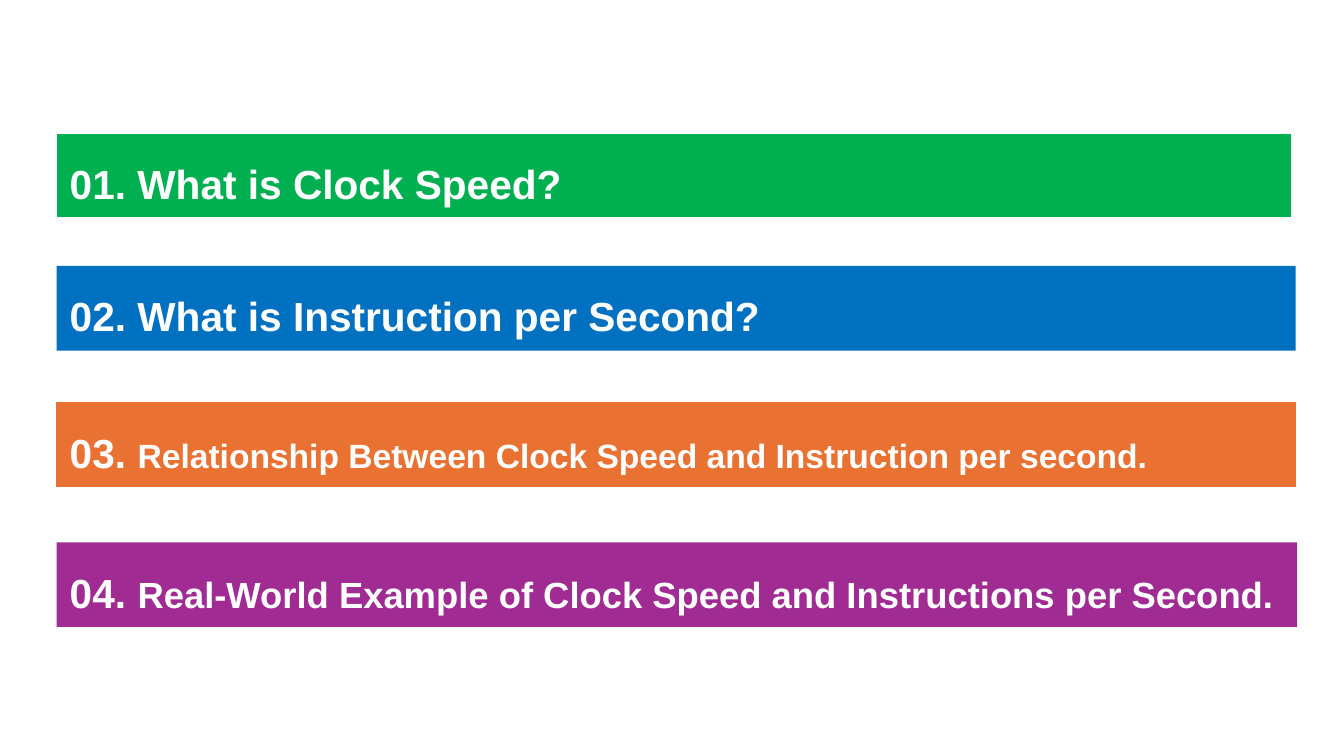
from dataclasses import dataclass
from typing import Optional

from pptx import Presentation
from pptx import util as u
from pptx.dml.color import RGBColor
from pptx.enum import shapes, text
from pptx.slide import Slide

WHITE = RGBColor(0xFF, 0xFF, 0xFF)
GREEN = RGBColor(0x00, 0xB0, 0x50)
BLUE = RGBColor(0x00, 0x70, 0xC0)
ORANGE = RGBColor(0xE9, 0x71, 0x32)
PURPLE = RGBColor(0xA0, 0x2B, 0x93)

BAR_LEFT = u.Pt(40.4)
BAR_HEIGHT = u.Pt(60.5)
BAR_INSET = u.Pt(9.4)
NUMBER_SIZE = u.Pt(29)


@dataclass(frozen=True)
class AgendaBar:
    heading: str
    heading_size: float
    top: float
    width: float
    fill: RGBColor
    outline: Optional[RGBColor] = None


AGENDA = [
    AgendaBar("What is Clock Speed?", 29, 95.2, 882, GREEN, WHITE),
    AgendaBar("What is Instruction per Second?", 29, 190, 885, BLUE),
    AgendaBar("Relationship Between Clock Speed and Instruction per second.",
              24, 287.2, 885, ORANGE, ORANGE),
    AgendaBar("Real-World Example of Clock Speed and Instructions per Second.",
              26, 387.4, 886.2, PURPLE),
]


def draw_bar(page: Slide, number: int, bar: AgendaBar) -> None:
    # Coloured bar
    box = page.shapes.add_shape(shapes.MSO_SHAPE.RECTANGLE, BAR_LEFT,
                                u.Pt(bar.top), u.Pt(bar.width), BAR_HEIGHT)
    box.shadow.inherit = False
    box.fill.solid()
    box.fill.fore_color.rgb = bar.fill
    if bar.outline is None:
        box.line.fill.background()
    else:
        box.line.color.rgb = bar.outline
        box.line.width = u.Pt(0.75)

    # Text area
    frame = box.text_frame
    frame.word_wrap = True
    frame.vertical_anchor = text.MSO_ANCHOR.TOP
    frame.margin_left = frame.margin_right = BAR_INSET
    frame.margin_top = frame.margin_bottom = BAR_INSET

    # Number and heading
    para = frame.paragraphs[0]
    para.alignment = text.PP_ALIGN.LEFT
    para.line_spacing = 1.25
    para.font.name = "Arial"
    para.font.bold = True
    para.font.color.rgb = WHITE
    for wording, size in ((f"{number:02d}. ", NUMBER_SIZE),
                          (bar.heading, u.Pt(bar.heading_size))):
        span = para.add_run()
        span.text = wording
        span.font.size = size


def main() -> None:
    deck = Presentation()
    deck.slide_width = u.Pt(960)
    deck.slide_height = u.Pt(540)
    page = deck.slides.add_slide(deck.slide_layouts[6])
    for number, bar in enumerate(AGENDA, start=1):
        draw_bar(page, number, bar)
    deck.save("out.pptx")


if __name__ == "__main__":
    main()
